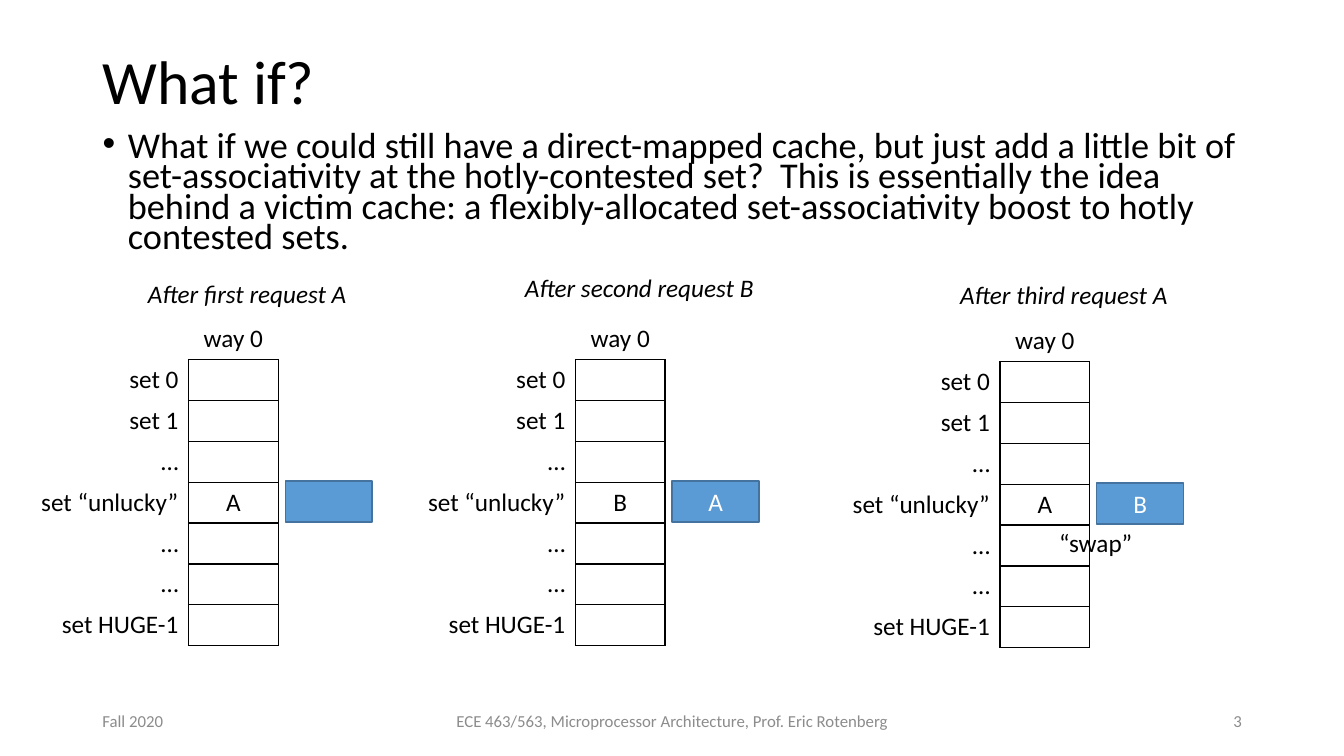
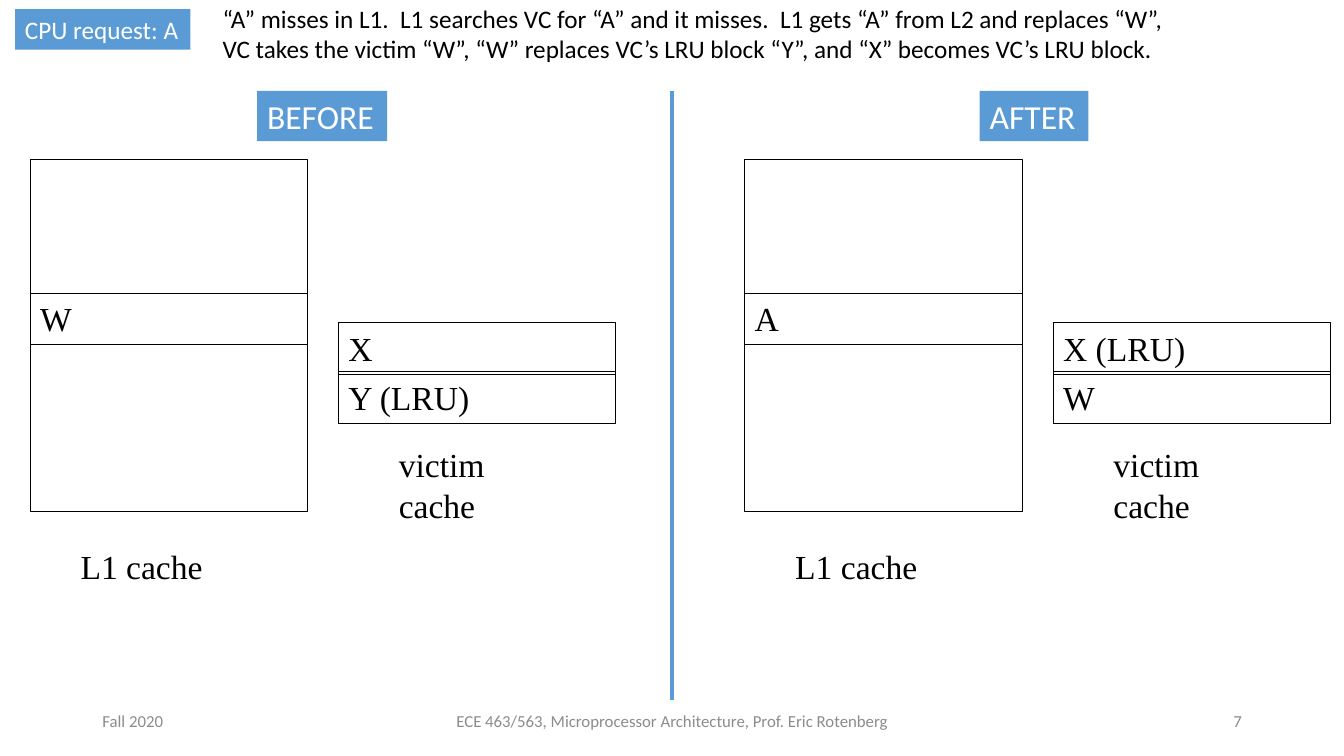
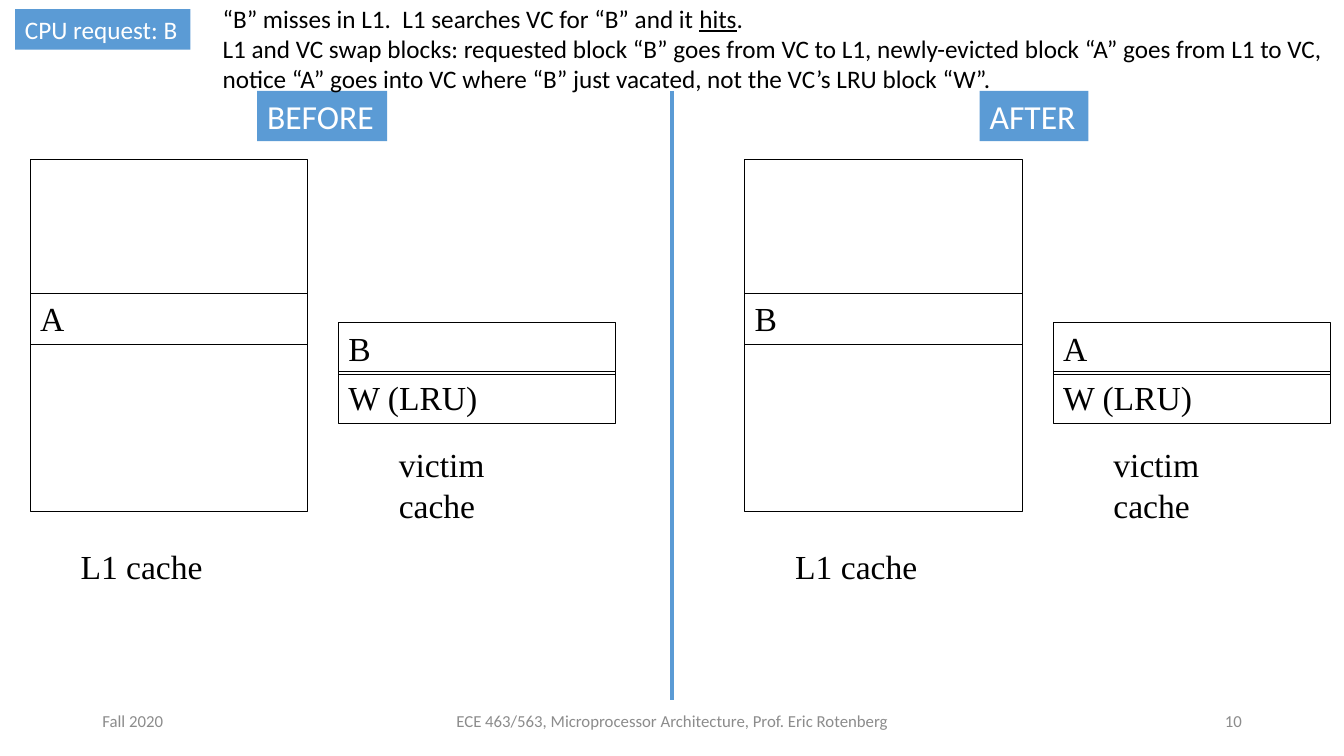
from dataclasses import dataclass
from typing import Any

from lxml.etree import SubElement
from pptx import Presentation
from pptx.dml.color import RGBColor
from pptx.enum.shapes import MSO_CONNECTOR, MSO_SHAPE
from pptx.enum.text import MSO_ANCHOR as Anchor, MSO_AUTO_SIZE as AutoSize, PP_ALIGN as Align
from pptx.oxml.ns import qn
from pptx.util import Cm, Pt

BLACK = RGBColor(0x00, 0x00, 0x00)
WHITE = RGBColor(0xFF, 0xFF, 0xFF)
GRAY = RGBColor(0x8C, 0x8C, 0x8C)
BLUE = RGBColor(0x5B, 0x9B, 0xD5)
DARK_BLUE = RGBColor(0x43, 0x73, 0x9E)

SANS, SERIF = "Calibri", "Times New Roman"
TITLE_LAYOUT, BLANK_LAYOUT = 1, 6
UNDERLINE_MARK = "_"

LABEL_FRAME = {"word_wrap": False, "auto_size": AutoSize.SHAPE_TO_FIT_TEXT, "vertical_anchor": Anchor.TOP}
BOX_FRAME = {"word_wrap": True, "auto_size": AutoSize.NONE, "vertical_anchor": Anchor.TOP}
MIDDLE_FRAME = BOX_FRAME | {"vertical_anchor": Anchor.MIDDLE}

LEFT = {"alignment": Align.LEFT}
CENTER = {"alignment": Align.CENTER}
RIGHT = {"alignment": Align.RIGHT}
TITLE_PARAGRAPH = LEFT | {"line_spacing": 0.9, "space_before": Pt(0)}
BODY_PARAGRAPH = LEFT | {"line_spacing": 0.7, "space_before": Pt(10)}

TITLE_FONT = {"name": SANS, "size": Pt(44)}
BODY_FONT = {"name": SANS, "size": Pt(25.9)}
FOOTER_FONT = {"name": SANS, "size": Pt(12)}
TEXT_FONT = {"name": SANS, "size": Pt(18)}
CAPTION_FONT = TEXT_FONT | {"italic": True}
BANNER_FONT = {"name": SANS, "size": Pt(24)}
CACHE_FONT = {"name": SERIF, "size": Pt(24)}

SET_NAMES = ("set 0", "set 1", "…", "set “unlucky”", "…", "…", "set HUGE-1")
UNLUCKY_ROW = 4
ROW_HEIGHT = 1.03
COLUMN_WIDTHS = (4.04, 2.26)


@dataclass(frozen=True)
class Box:
    left: float
    top: float
    width: float
    height: float

    def lengths(self) -> tuple:
        return Cm(self.left), Cm(self.top), Cm(self.width), Cm(self.height)


@dataclass(frozen=True)
class WayDiagram:
    left: float
    top: float
    cached: str
    extra: str
    caption: str
    caption_box: Box


@dataclass(frozen=True)
class CacheState:
    line: str
    victims: tuple[str, str]


@dataclass(frozen=True)
class RequestSlide:
    number: int
    request: str
    explanation: tuple[str, ...]
    explanation_box: Box
    before: CacheState
    after: CacheState


WAY_DIAGRAMS = (
    WayDiagram(0.71, 8.03, "A", "", "After first request A", Box(3.48, 6.88, 5.59, 1.02)),
    WayDiagram(10.46, 8.03, "B", "A", "After second request B", Box(12.98, 6.73, 6.35, 1.02)),
    WayDiagram(21.16, 8.08, "A", "B", "After third request A", Box(23.95, 6.91, 5.82, 1.02)),
)

REQUEST_SLIDES = (
    RequestSlide(
        7,
        "CPU request: A",
        (
            "“A” misses in L1.  L1 searches VC for “A” and it misses.  L1 gets “A” from L2 and replaces “W”,",
            "VC takes the victim “W”, “W” replaces VC’s LRU block “Y”, and “X” becomes VC’s LRU block.",
        ),
        Box(5.36, -0.05, 24.64, 1.8),
        CacheState("W", ("X", "Y (LRU)")),
        CacheState("A", ("X (LRU)", "W")),
    ),
    RequestSlide(
        10,
        "CPU request: B",
        (
            "“B” misses in L1.  L1 searches VC for “B” and it _hits_.",
            "L1 and VC swap blocks: requested block “B” goes from VC to L1, "
            "newly-evicted block “A” goes from L1 to VC,",
            "notice “A” goes into VC where “B” just vacated, not the VC’s LRU block “W”.",
        ),
        Box(5.36, -0.05, 28.58, 2.57),
        CacheState("A", ("B", "W (LRU)")),
        CacheState("B", ("A", "W (LRU)")),
    ),
)


def apply_format(target: Any, values: dict[str, Any]) -> None:
    for name, value in values.items():
        setattr(target, name, value)


def write_text(text_frame: Any, lines: tuple[str, ...], font: dict, color: RGBColor = BLACK,
               paragraph_format: dict = LEFT) -> None:
    for index, line in enumerate(lines):
        paragraph = text_frame.add_paragraph() if index else text_frame.paragraphs[0]
        apply_format(paragraph, paragraph_format)
        for position, part in enumerate(line.split(UNDERLINE_MARK)):
            run = paragraph.add_run()
            run.text = part
            apply_format(run.font, font)
            run.font.color.rgb = color
            if position % 2:
                run.font.underline = True


def add_text(slide: Any, box: Box, lines: tuple[str, ...], font: dict, color: RGBColor = BLACK,
             frame: dict = LABEL_FRAME, paragraph_format: dict = LEFT) -> None:
    text_frame = slide.shapes.add_textbox(*box.lengths()).text_frame
    apply_format(text_frame, frame)
    write_text(text_frame, lines, font, color, paragraph_format)


def add_rectangle(slide: Any, box: Box, text: str = "", font: dict = CACHE_FONT, color: RGBColor = BLACK,
                  fill: RGBColor | None = None, line: RGBColor | None = BLACK, line_width: float = 0.75,
                  frame: dict = BOX_FRAME, paragraph_format: dict = LEFT) -> None:
    shape = slide.shapes.add_shape(MSO_SHAPE.RECTANGLE, *box.lengths())
    shape.shadow.inherit = False
    if fill is None:
        shape.fill.background()
    else:
        shape.fill.solid()
        shape.fill.fore_color.rgb = fill
    if line is None:
        shape.line.fill.background()
    else:
        shape.line.color.rgb = line
        shape.line.width = Pt(line_width)
    apply_format(shape.text_frame, frame)
    if text:
        write_text(shape.text_frame, (text,), font, color, paragraph_format)


def add_banner(slide: Any, box: Box, text: str, font: dict) -> None:
    add_rectangle(slide, box, text, font, WHITE, BLUE, None, frame=LABEL_FRAME)


def add_footer(slide: Any, number: int) -> None:
    for left, width, text, alignment in (
        (2.33, 7.62, "Fall 2020", LEFT),
        (11.23, 11.43, "ECE 463/563, Microprocessor Architecture, Prof. Eric Rotenberg", CENTER),
        (23.93, 7.62, str(number), RIGHT),
    ):
        add_text(slide, Box(left, 17.65, width, 1.02), (text,), FOOTER_FONT, GRAY, MIDDLE_FRAME, alignment)


def fill_placeholder(shape: Any, box: Box, text: str, font: dict, frame: dict, paragraph_format: dict) -> None:
    apply_format(shape, dict(zip(("left", "top", "width", "height"), box.lengths())))
    apply_format(shape.text_frame, frame)
    write_text(shape.text_frame, (text,), font, paragraph_format=paragraph_format)


def format_cell(cell: Any, text: str, alignment: dict, sides: str) -> None:
    properties = cell._tc.get_or_add_tcPr()
    for side in "LRTB":
        border = SubElement(properties, qn(f"a:ln{side}"), w=str(Pt(1)))
        if side in sides:
            color = SubElement(SubElement(border, qn("a:solidFill")), qn("a:srgbClr"))
            color.set("val", str(BLACK))
        else:
            SubElement(border, qn("a:noFill"))
    cell.fill.background()
    if text:
        write_text(cell.text_frame, (text,), TEXT_FONT, paragraph_format=alignment)


def add_way_diagram(slide: Any, diagram: WayDiagram) -> None:
    row_count = len(SET_NAMES) + 1
    table_box = Box(diagram.left, diagram.top, sum(COLUMN_WIDTHS), row_count * ROW_HEIGHT)
    table = slide.shapes.add_table(row_count, len(COLUMN_WIDTHS), *table_box.lengths()).table
    apply_format(table, {"first_row": False, "horz_banding": False})
    for column, width in zip(table.columns, COLUMN_WIDTHS):
        column.width = Cm(width)
    for row in table.rows:
        row.height = Cm(ROW_HEIGHT)
    format_cell(table.cell(0, 0), "", RIGHT, "")
    format_cell(table.cell(0, 1), "way 0", CENTER, "B")
    for index, name in enumerate(SET_NAMES, start=1):
        format_cell(table.cell(index, 0), name, RIGHT, "R")
        format_cell(table.cell(index, 1), diagram.cached if index == UNLUCKY_ROW else "", CENTER, "LRTB")
    extra_box = Box(diagram.left + 6.48, diagram.top + 4.09, 2.19, 1.04)
    add_rectangle(slide, extra_box, diagram.extra, TEXT_FONT, WHITE, BLUE, DARK_BLUE, 1, MIDDLE_FRAME, CENTER)
    add_text(slide, diagram.caption_box, (diagram.caption,), CAPTION_FONT)


def add_cache_state(slide: Any, left: float, state: CacheState) -> None:
    width, line_height = 6.99, 1.3
    victim_left = left + 7.77
    add_rectangle(slide, Box(left, 4.01, width, 8.89))
    for index, victim in enumerate(state.victims):
        add_rectangle(slide, Box(victim_left, 8.13 + index * 1.24, width, line_height), victim)
    add_rectangle(slide, Box(left, 7.39, width, line_height), state.line)
    add_text(slide, Box(left + 1.02, 13.64, 3.58, 1.27), ("L1 cache",), CACHE_FONT)
    add_text(slide, Box(victim_left + 1.27, 11.07, 4.8, 1.27), ("victim cache",), CACHE_FONT)


def add_divider(slide: Any) -> None:
    center = Cm(16.93)
    divider = slide.shapes.add_connector(MSO_CONNECTOR.STRAIGHT, center, Cm(2.29), center, Cm(17.65))
    divider.line.color.rgb = BLUE
    divider.line.width = Pt(3)
    SubElement(divider._element.spPr, qn("a:effectLst"))


def build_idea_slide(presentation: Any) -> None:
    slide = presentation.slides.add_slide(presentation.slide_layouts[TITLE_LAYOUT])
    title, body = slide.placeholders
    fill_placeholder(title, Box(2.33, 1.02, 29.21, 2.24), "What if?", TITLE_FONT, MIDDLE_FRAME, TITLE_PARAGRAPH)
    fill_placeholder(
        body,
        Box(2.33, 3.25, 29.21, 3.4),
        "What if we could still have a direct-mapped cache, but just add a little bit of "
        "set-associativity at the hotly-contested set?  This is essentially the idea behind a victim cache: "
        "a flexibly-allocated set-associativity boost to hotly contested sets.",
        BODY_FONT,
        BOX_FRAME,
        BODY_PARAGRAPH,
    )
    properties = body.text_frame.paragraphs[0]._p.get_or_add_pPr()
    properties.set("marL", str(Cm(0.64)))
    properties.set("indent", str(-Cm(0.64)))
    add_footer(slide, 3)
    for diagram in WAY_DIAGRAMS:
        add_way_diagram(slide, diagram)
    add_text(slide, Box(26.44, 13.16, 2.36, 1.02), ("“swap”",), TEXT_FONT)


def build_request_slide(presentation: Any, content: RequestSlide) -> None:
    slide = presentation.slides.add_slide(presentation.slide_layouts[BLANK_LAYOUT])
    add_footer(slide, content.number)
    add_cache_state(slide, 0.76, content.before)
    add_cache_state(slide, 18.77, content.after)
    add_banner(slide, Box(6.48, 2.29, 3.28, 1.27), "BEFORE", BANNER_FONT)
    add_banner(slide, Box(24.69, 2.29, 2.74, 1.27), "AFTER", BANNER_FONT)
    add_banner(slide, Box(0.38, 0.23, 4.42, 1.02), content.request, TEXT_FONT)
    add_text(slide, content.explanation_box, content.explanation, TEXT_FONT)
    add_divider(slide)


def main() -> None:
    presentation = Presentation()
    apply_format(presentation, {"slide_width": Cm(33.87), "slide_height": Cm(19.05)})
    build_idea_slide(presentation)
    for content in REQUEST_SLIDES:
        build_request_slide(presentation, content)
    presentation.save("out.pptx")


if __name__ == "__main__":
    main()
